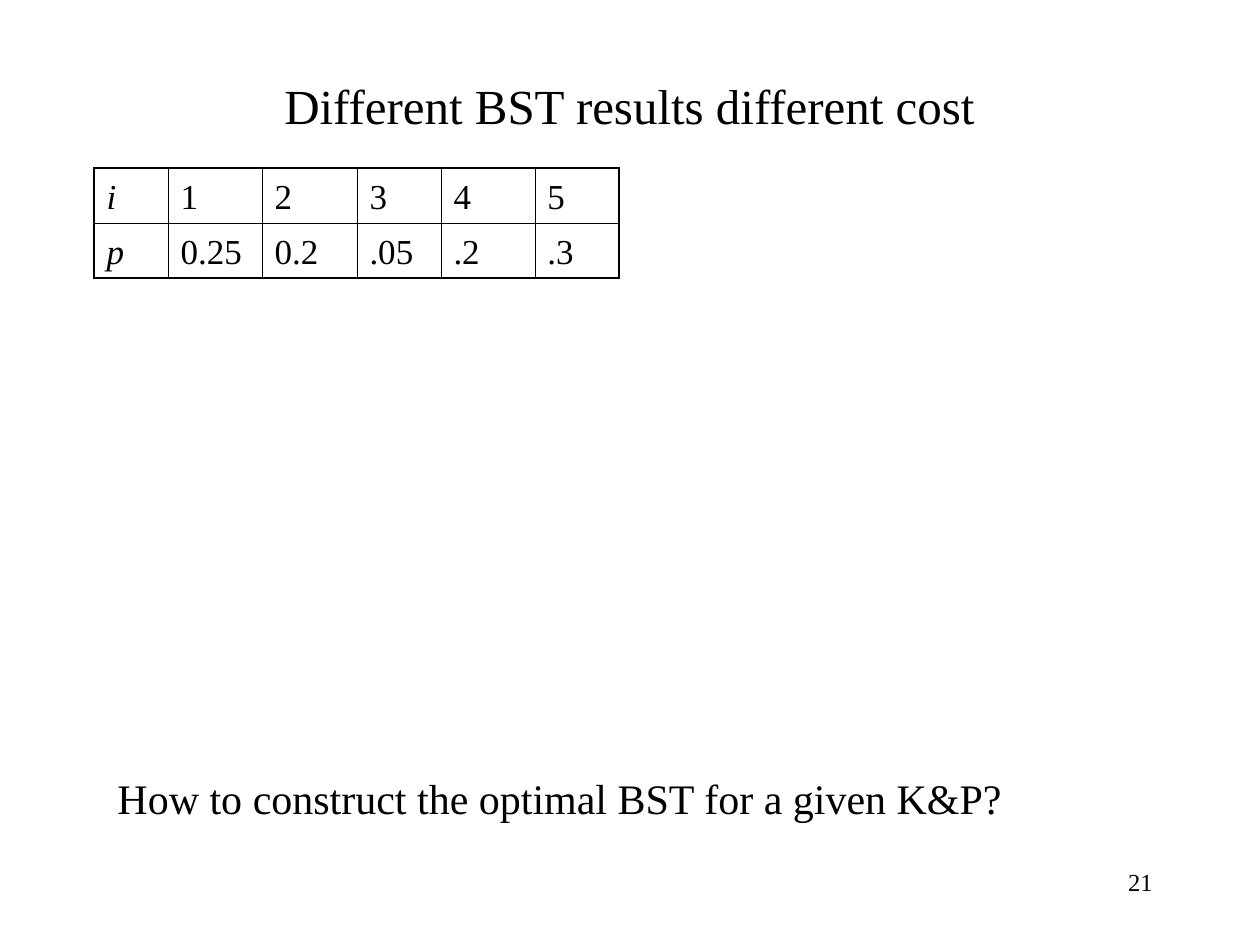
import pptx
import pptx.util
import pptx.dml.color
import pptx.enum.text
import pptx.oxml
import pptx.oxml.ns

PX = 914400 / 126
COLORS = {"ink": "000000", "paper": "FFFFFF"}
FONT = "Times New Roman"
ALIGN = pptx.enum.text.PP_ALIGN
ANCHOR = pptx.enum.text.MSO_ANCHOR


def emu(px):
    return pptx.util.Emu(round(px * PX))


def write(p, text, size, italic=False):
    r = p.add_run()
    r.text = text
    fmt = {"name": FONT, "size": pptx.util.Pt(size), "italic": italic}
    for key, value in fmt.items():
        setattr(r.font, key, value)
    r.font.color.rgb = pptx.dml.color.RGBColor.from_string(COLORS["ink"])


prs = pptx.Presentation()
prs.slide_width, prs.slide_height = emu(1260), emu(945)
s = prs.slides.add_slide(prs.slide_layouts[6])

# Title, closing question and slide number
texts = [
    ("Different BST results different cost", (94, 63, 1071, 84), 28, ALIGN.CENTER, ANCHOR.MIDDLE),
    ("How to construct the optimal BST for a given K&P?", (105, 766, 976, 63), 24, ALIGN.LEFT, ANCHOR.TOP),
    ("21", (903, 861, 262, 63), 14, ALIGN.RIGHT, ANCHOR.TOP),
]
for text, box, size, align, anchor in texts:
    tf = s.shapes.add_textbox(*map(emu, box)).text_frame
    for key, value in {"word_wrap": True, "vertical_anchor": anchor}.items():
        setattr(tf, key, value)
    p = tf.paragraphs[0]
    p.alignment = align
    write(p, text, size)

# Probability table
rows = [["i", "1", "2", "3", "4", "5"], ["p", "0.25", "0.2", ".05", ".2", ".3"]]
widths = [74, 94, 95, 84, 94, 84]
row_height = 55
last_row, last_col = len(rows) - 1, len(widths) - 1
frame = s.shapes.add_table(len(rows), len(widths), emu(94), emu(168),
                           emu(sum(widths)), emu(row_height * len(rows)))
table = frame.table
for col, width in zip(table.columns, widths):
    col.width = emu(width)
for row in table.rows:
    row.height = emu(row_height)

for i, values in enumerate(rows):
    for j, value in enumerate(values):
        cell = table.cell(i, j)
        cell.vertical_anchor = ANCHOR.BOTTOM
        write(cell.text_frame.paragraphs[0], value, 20, italic=j == 0)

        # Heavier lines on the outer edge
        outer = {"lnL": j == 0, "lnR": j == last_col, "lnT": i == 0, "lnB": i == last_row}
        tcPr = cell._tc.get_or_add_tcPr()
        for tag, is_outer in outer.items():
            width = pptx.util.Pt(1.08 if is_outer else 0.45)
            tcPr.append(pptx.oxml.parse_xml(
                f'<a:{tag} {pptx.oxml.ns.nsdecls("a")} w="{width}"><a:solidFill>'
                f'<a:srgbClr val="{COLORS["ink"]}"/></a:solidFill></a:{tag}>'))
        cell.fill.solid()
        cell.fill.fore_color.rgb = pptx.dml.color.RGBColor.from_string(COLORS["paper"])

prs.save("out.pptx")
